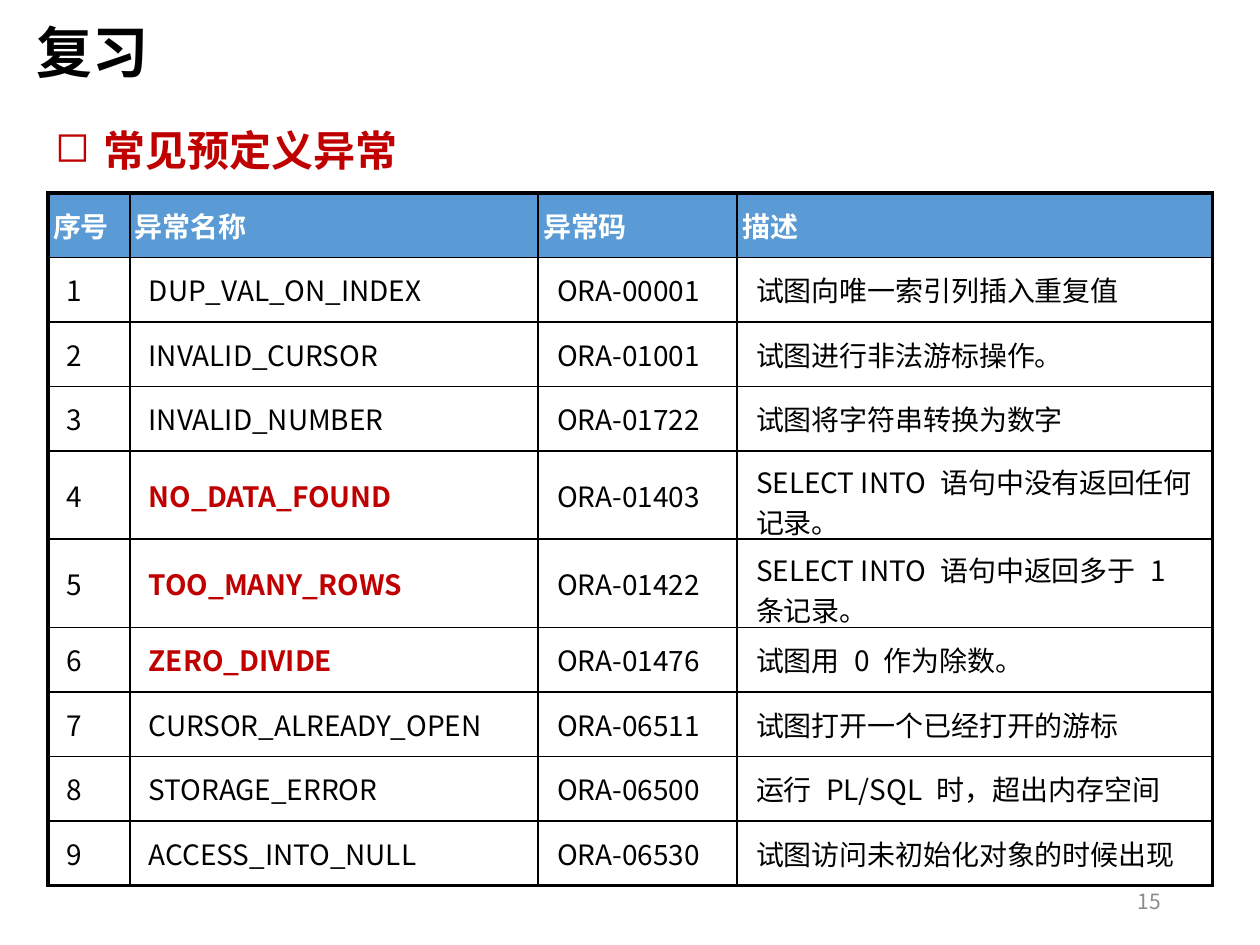
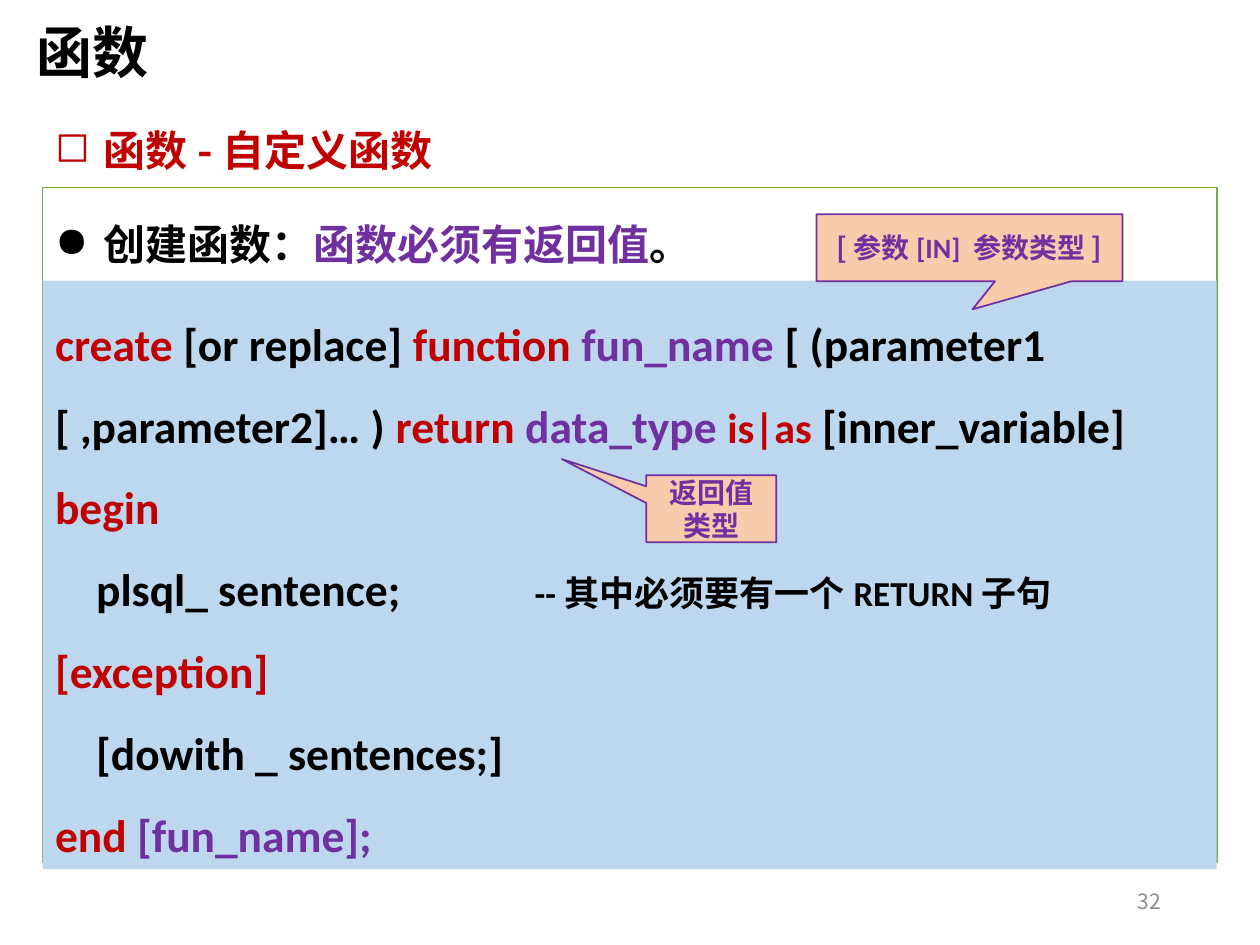
"""Builds two slides on PL/SQL: predefined exceptions and user-defined functions."""
from lxml import etree
from pptx import Presentation
from pptx import util as u
from pptx.dml import color
from pptx.enum import shapes, text
from pptx.oxml import ns

COLORS = {
    "black": "000000", "white": "FFFFFF", "red": "C00000", "purple": "7030A0",
    "gray": "8C8C8C", "header": "5B9BD5", "code": "BDD7EE", "callout": "F8CBAD",
    "green": "70AD47",
}
CJK = "Noto Sans CJK SC"
RECT = shapes.MSO_SHAPE.RECTANGLE
CALLOUT = shapes.MSO_SHAPE.RECTANGULAR_CALLOUT
LEFT, WIDTH, HANG = 0.86, 23.67, 0.97


def write(para, spans, size, latin=CJK, bold=True, bullet=None):
    """Fill a paragraph with (text, colour, optional size, optional font) spans."""
    if bullet:
        props = para._p.get_or_add_pPr()
        props.set("marL", str(u.Cm(HANG)))
        props.set("indent", str(-u.Cm(HANG)))
        etree.SubElement(props, ns.qn("a:buChar")).set("char", bullet)
    for words, hue, *special in spans:
        span = para.add_run()
        span.text = words
        span.font.size = u.Pt(special[0] if special else size)
        span.font.name = special[1] if len(special) > 1 else latin
        span.font.bold = bold
        span.font.color.rgb = color.RGBColor.from_string(COLORS[hue])
        east = etree.SubElement(span._r.get_or_add_rPr(), ns.qn("a:ea"))
        east.set("typeface", CJK)


def add_box(page, at, kind=None, fill=None, line=None, anchor="TOP", align="LEFT"):
    """Add a text box, or a preset shape when a kind is given."""
    place = [u.Cm(length) for length in at]
    if kind is None:
        box = page.shapes.add_textbox(*place)
    else:
        box = page.shapes.add_shape(kind, *place)
        box.shadow.inherit = False
        box.fill.background()
        box.line.fill.background()
    if fill:
        box.fill.solid()
        box.fill.fore_color.rgb = color.RGBColor.from_string(COLORS[fill])
    if line:
        box.line.color.rgb = color.RGBColor.from_string(COLORS[line])
        box.line.width = u.Pt(1)
    box.text_frame.word_wrap = True
    box.text_frame.vertical_anchor = text.MSO_ANCHOR[anchor]
    box.text_frame.paragraphs[0].alignment = text.PP_ALIGN[align]
    return box


deck = Presentation()
deck.slide_width, deck.slide_height = u.Cm(25.4), u.Cm(19.05)

pages = []
for title, heading, number in [("复习", "常见预定义异常", "15"),
                               ("函数", "函数-自定义函数", "32")]:
    page = deck.slides.add_slide(deck.slide_layouts[6])
    pages.append(page)
    box = add_box(page, (0.48, 0.23, 2.79, 1.63))
    box.text_frame.word_wrap = False
    write(box.text_frame.paragraphs[0], [(title, "black")], 32)
    box = add_box(page, (LEFT, 2.39, WIDTH, 1.27))
    write(box.text_frame.paragraphs[0], [(heading, "red")], 24, bullet="◻")
    box = add_box(page, (17.93, 17.65, 5.72, 1.02), anchor="MIDDLE", align="RIGHT")
    write(box.text_frame.paragraphs[0], [(number, "gray")], 12, bold=False)
review, function = pages

exceptions = [
    ("序号", "异常名称", "异常码", "描述"),
    ("1", "DUP_VAL_ON_INDEX", "ORA-00001", "试图向唯一索引列插入重复值"),
    ("2", "INVALID_CURSOR", "ORA-01001", "试图进行非法游标操作。"),
    ("3", "INVALID_NUMBER", "ORA-01722", "试图将字符串转换为数字"),
    ("4", "NO_DATA_FOUND", "ORA-01403", "SELECT INTO 语句中没有返回任何记录。"),
    ("5", "TOO_MANY_ROWS", "ORA-01422", "SELECT INTO 语句中返回多于 1 条记录。"),
    ("6", "ZERO_DIVIDE", "ORA-01476", "试图用 0 作为除数。"),
    ("7", "CURSOR_ALREADY_OPEN", "ORA-06511", "试图打开一个已经打开的游标"),
    ("8", "STORAGE_ERROR", "ORA-06500", "运行 PL/SQL 时，超出内存空间"),
    ("9", "ACCESS_INTO_NULL", "ORA-06530", "试图访问未初始化对象的时候出现"),
]
key_names = {"NO_DATA_FOUND", "TOO_MANY_ROWS", "ZERO_DIVIDE"}
column_widths = [1.65, 8.23, 4.01, 9.58]
last_row, last_column = len(exceptions) - 1, len(column_widths) - 1
table = review.shapes.add_table(len(exceptions), len(column_widths), u.Cm(0.97), u.Cm(3.89),
                                u.Cm(sum(column_widths)), u.Cm(13.96)).table
for column, width in zip(table.columns, column_widths):
    column.width = u.Cm(width)
for r, record in enumerate(exceptions):
    table.rows[r].height = u.Cm(1.78 if r in (4, 5) else 1.3)
    for c, words in enumerate(record):
        cell = table.cell(r, c)
        header, key = r == 0, words in key_names
        cell.vertical_anchor = text.MSO_ANCHOR.MIDDLE
        cell.margin_left = cell.margin_right = u.Cm(0.1 if header else 0.38)
        cell.margin_top = cell.margin_bottom = u.Cm(0.05 if header else 0.2)
        cell.fill.solid()
        cell.fill.fore_color.rgb = color.RGBColor.from_string(
            COLORS["header" if header else "white"])
        hue = "white" if header else "red" if key else "black"
        write(cell.text_frame.paragraphs[0], [(words, hue)], 16, bold=header or key)
        outer_edges = [("lnL", c == 0), ("lnR", c == last_column),
                       ("lnT", r == 0), ("lnB", r == last_row)]
        for position, (edge, outer) in enumerate(outer_edges):
            border = etree.Element(ns.qn(f"a:{edge}"), w=str(u.Pt(2.25 if outer else 1)))
            paint = etree.SubElement(border, ns.qn("a:solidFill"))
            etree.SubElement(paint, ns.qn("a:srgbClr"), val=COLORS["black"])
            cell._tc.get_or_add_tcPr().insert(position, border)

frame = add_box(function, (LEFT, 3.78, WIDTH, 13.61), RECT, line="green")
para = frame.text_frame.paragraphs[0]
para.line_spacing = 1.5
write(para, [("创建函数：", "black"), ("函数必须有返回值", "purple"), ("。", "black")],
      24, latin="Roboto", bullet="●")

code_lines = [
    [("create", "red"), (" [or replace] ", "black"), ("function ", "red"),
     ("fun_name ", "purple"), ("[ (parameter1 [ ,parameter2]… ) ", "black"),
     ("return ", "red"), ("data_type ", "purple"), ("is|as", "red", 24),
     (" [inner_variable]", "black")],
    [("begin", "red")],
    [("    plsql_ sentence;\t", "black"), ("--其中必须要有一个RETURN子句", "black", 20)],
    [("[exception]", "red")],
    [("    [dowith _ sentences;]", "black")],
    [("end ", "red"), ("[fun_name];", "purple")],
]
code = add_box(function, (LEFT, 5.66, WIDTH, 11.86), RECT, fill="code", anchor="MIDDLE")
for index, spans in enumerate(code_lines):
    para = code.text_frame.add_paragraph() if index else code.text_frame.paragraphs[0]
    para.alignment = text.PP_ALIGN.LEFT
    para.line_spacing = 1.5
    if "\t" in spans[0][0]:
        tabs = etree.SubElement(para._p.get_or_add_pPr(), ns.qn("a:tabLst"))
        etree.SubElement(tabs, ns.qn("a:tab"), pos=str(u.Cm(9.67)), algn="l")
    write(para, spans, 26, latin="Calibri")

callouts = [
    ((13.03, 9.58, 2.62, 1.35), (-1.15, -0.74), [("返回值类型", "purple")]),
    ((16.46, 4.32, 6.17, 1.35), (0.01, 0.92),
     [("[参数", "purple"), ("[IN] 参数类型", "purple", 16, "Calibri"), ("]", "purple")]),
]
for at, tip, spans in callouts:
    box = add_box(function, at, CALLOUT, "callout", "purple", "MIDDLE", "CENTER")
    box.adjustments[0], box.adjustments[1] = tip
    write(box.text_frame.paragraphs[0], spans, 16)

deck.save("out.pptx")
